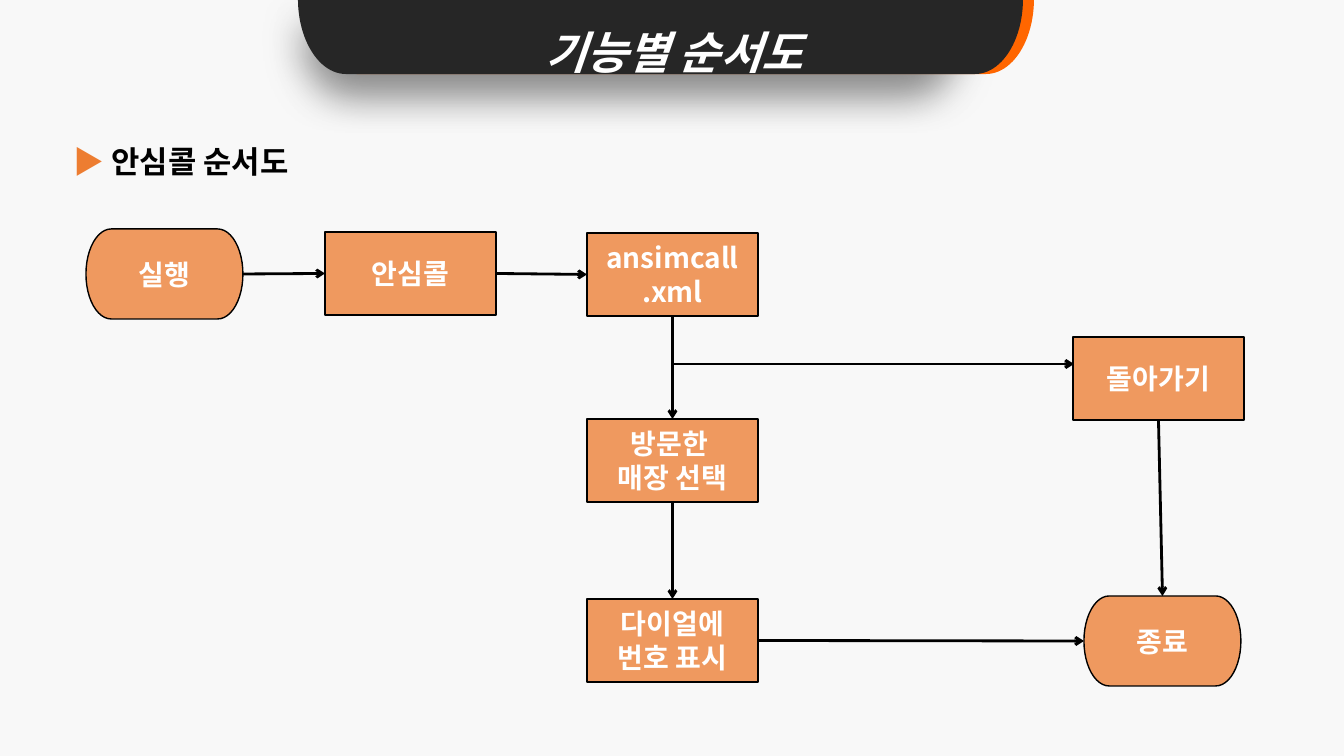
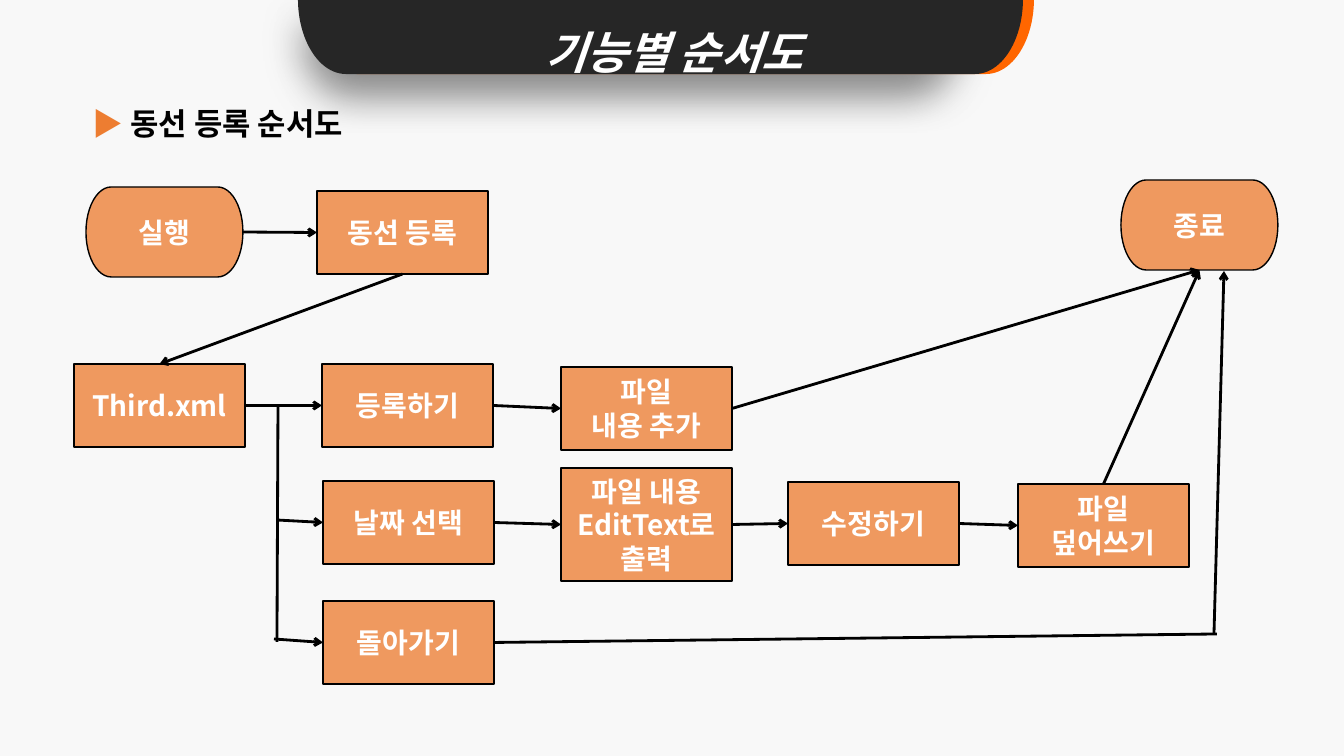
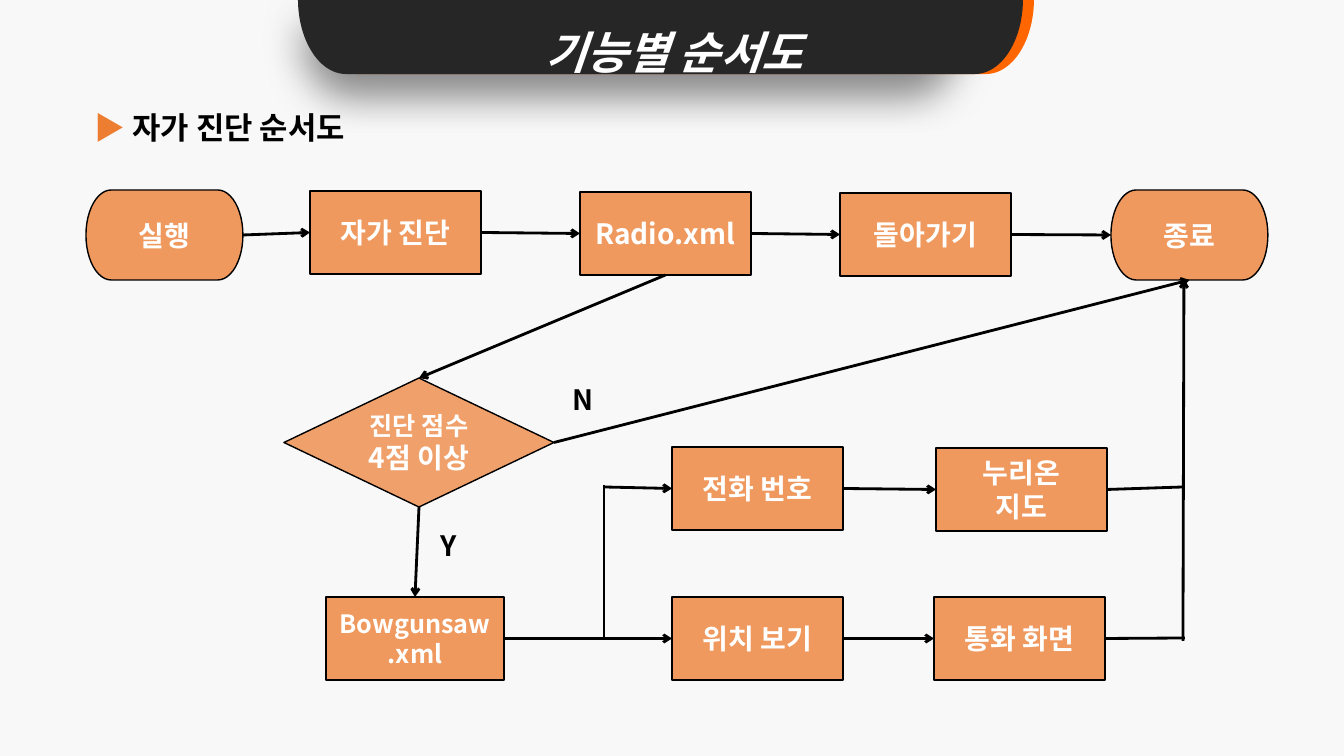
"""Build three flowchart slides that share a dark banner and orange nodes."""
from dataclasses import dataclass

from lxml.etree import SubElement
from pptx import Presentation
from pptx.dml.color import RGBColor
from pptx.enum.shapes import MSO_CONNECTOR, MSO_SHAPE
from pptx.enum.text import PP_ALIGN
from pptx.oxml.ns import qn
from pptx.util import Pt

EMU_PER_PX = 914400 / 100.8
FONT = "Noto Sans CJK KR"
PAPER = RGBColor(0xF8, 0xF8, 0xF8)
DARK = RGBColor(0x26, 0x26, 0x26)
BRIGHT = RGBColor(0xFF, 0x66, 0x00)
ORANGE = RGBColor(0xED, 0x7D, 0x31)
BLACK = RGBColor(0x00, 0x00, 0x00)
WHITE = RGBColor(0xFF, 0xFF, 0xFF)
TOP, LEFT, BOTTOM, RIGHT = range(4)
BANNER_TITLE = "기능별 순서도"


@dataclass
class Node:
    x: int
    y: int
    text: str
    kind: MSO_SHAPE = MSO_SHAPE.FLOWCHART_PROCESS
    width: int = 171
    height: int = 83
    sizes: tuple = (20, 20)
    opacity: int = 77


def terminator(x, y, text):
    return Node(x, y, text, MSO_SHAPE.FLOWCHART_TERMINATOR, 157, 90)


CHARTS = [
    {
        "heading": ("안심콜 순서도", 64, 142),
        "nodes": {
            "start": terminator(86, 229, "실행"),
            "call": Node(325, 232, "안심콜"),
            "layout": Node(587, 233, "ansimcall\n.xml"),
            "store": Node(587, 419, "방문한 \n매장 선택"),
            "dial": Node(587, 599, "다이얼에\n번호 표시"),
            "end": terminator(1084, 596, "종료"),
            "back": Node(1073, 337, "돌아가기"),
        },
        "arrows": [
            (("start", RIGHT), ("call", LEFT)),
            (("call", RIGHT), ("layout", LEFT)),
            (("layout", BOTTOM), ("store", TOP)),
            (("store", BOTTOM), ("dial", TOP)),
            (("dial", RIGHT), ("end", LEFT)),
            ((672, 364), (1074, 364)),
            (("back", BOTTOM), ("end", TOP)),
        ],
        "lines": [],
        "labels": [],
    },
    {
        "heading": ("동선 등록 순서도", 83, 104),
        "nodes": {
            "start": terminator(86, 187, "실행"),
            "route": Node(317, 191, "동선 등록"),
            "layout": Node(74, 364, "Third.xml"),
            "register": Node(322, 364, "등록하기"),
            "date": Node(323, 481, "날짜 선택"),
            "back": Node(323, 601, "돌아가기"),
            "append": Node(561, 367, "파일\n내용 추가"),
            "show": Node(561, 468, "파일 내용\nEditText로 출력", height=113),
            "edit": Node(788, 482, "수정하기"),
            "overwrite": Node(1018, 484, "파일\n덮어쓰기"),
            "end": terminator(1121, 180, "종료"),
        },
        "arrows": [
            (("start", RIGHT), ("route", LEFT)),
            (("route", BOTTOM), ("layout", TOP)),
            (("layout", RIGHT), ("register", LEFT)),
            ((277, 520), ("date", LEFT)),
            ((274, 639), ("back", LEFT)),
            (("register", RIGHT), ("append", LEFT)),
            (("date", RIGHT), ("show", LEFT)),
            (("append", RIGHT), ("end", BOTTOM)),
            (("show", RIGHT), ("edit", LEFT)),
            (("edit", RIGHT), ("overwrite", LEFT)),
            (("overwrite", TOP), ("end", BOTTOM)),
            ((1214, 635), (1224, 271)),
        ],
        "lines": [
            ((278, 405), (277, 642)),
            ((1217, 634), ("back", RIGHT)),
        ],
        "labels": [],
    },
    {
        "heading": ("자가 진단 순서도", 85, 108),
        "nodes": {
            "start": terminator(86, 190, "실행"),
            "check": Node(310, 191, "자가 진단"),
            "layout": Node(580, 192, "Radio.xml"),
            "back": Node(840, 193, "돌아가기"),
            "end": terminator(1111, 190, "종료"),
            "score": Node(284, 378, "진단 점수\n4점 이상", MSO_SHAPE.FLOWCHART_DECISION,
                          270, 129, (18, 20), 71),
            "clinic": Node(326, 597, "Bowgunsaw\n.xml", width=178, sizes=(18, 18)),
            "place": Node(672, 597, "위치 보기"),
            "phone": Node(672, 447, "전화 번호"),
            "map": Node(936, 448, "누리온\n지도"),
            "dialer": Node(934, 597, "통화 화면"),
        },
        "arrows": [
            (("start", RIGHT), ("check", LEFT)),
            (("check", RIGHT), ("layout", LEFT)),
            (("layout", RIGHT), ("back", LEFT)),
            (("back", RIGHT), ("end", LEFT)),
            (("layout", BOTTOM), ("score", TOP)),
            (("score", BOTTOM), ("clinic", TOP)),
            (("score", RIGHT), ("end", BOTTOM)),
            (("clinic", RIGHT), ("place", LEFT)),
            ((604, 487), ("phone", LEFT)),
            (("place", RIGHT), ("dialer", LEFT)),
            (("phone", RIGHT), ("map", LEFT)),
            ((1183, 641), (1184, 279)),
        ],
        "lines": [
            ((604, 485), (604, 639)),
            (("map", RIGHT), (1183, 487)),
            (("dialer", RIGHT), (1185, 638)),
        ],
        "labels": [("N", 563, 378), ("Y", 431, 524)],
    },
]


def px(*lengths):
    return [round(length * EMU_PER_PX) for length in lengths]


def write(paragraph, text, size=20, color=BLACK, italic=False, align=PP_ALIGN.LEFT, spacing=1.0):
    paragraph.alignment = align
    paragraph.line_spacing = spacing
    run = paragraph.add_run()
    run.text = text
    font = run.font
    font.name, font.size, font.bold, font.italic = FONT, Pt(size), True, italic
    font.color.rgb = color
    SubElement(run._r.get_or_add_rPr(), qn("a:ea"), typeface=FONT)


def add_box(slide, x, y, width, height, wrap=True):
    frame = slide.shapes.add_textbox(*px(x, y, width, height)).text_frame
    frame.word_wrap = wrap
    return frame.paragraphs[0]


def add_filled(slide, kind, x, y, width, height, color):
    shape = slide.shapes.add_shape(kind, *px(x, y, width, height))
    shape.shadow.inherit = False
    shape.fill.solid()
    shape.fill.fore_color.rgb = color
    return shape


def set_opacity(color_element, percent):
    SubElement(color_element, qn("a:alpha"), val=str(percent * 1000))


def add_banner(slide):
    for x, color in ((634, BRIGHT), (623, DARK)):
        band = add_filled(slide, MSO_SHAPE.LEFT_BRACKET, x, -326, 75, 725, color)
        band.rotation = 270
        band.adjustments[0] = 0.64
        band.line.fill.background()
        effects = band.element.spPr.find(qn("a:effectLst"))
        shadow = SubElement(effects, qn("a:outerShdw"), blurRad=str(Pt(29)), dist=str(Pt(15)),
                            dir="5400000", sx="90000", sy="90000", algn="tl", rotWithShape="0")
        set_opacity(SubElement(shadow, qn("a:srgbClr"), val=str(BLACK)), 25)
    write(add_box(slide, 520, -7, 308, 92, wrap=False), BANNER_TITLE, size=32, color=WHITE,
          italic=True, align=PP_ALIGN.CENTER, spacing=1.5)


def add_heading(slide, text, x, y):
    paragraph = add_box(slide, x, y, 700, 80)
    write(paragraph, "▶", size=22, color=ORANGE, spacing=0.9)
    write(paragraph, " " + text, size=22, spacing=0.9)


def add_node(slide, node):
    shape = add_filled(slide, node.kind, node.x, node.y, node.width, node.height, ORANGE)
    set_opacity(shape.element.spPr.find(qn("a:solidFill"))[0], node.opacity)
    shape.line.color.rgb = BLACK
    shape.line.width = Pt(1)
    frame = shape.text_frame
    for index, (text, size) in enumerate(zip(node.text.split("\n"), node.sizes)):
        paragraph = frame.add_paragraph() if index else frame.paragraphs[0]
        write(paragraph, text, size=size, color=WHITE, align=PP_ALIGN.CENTER)
    return shape


def add_link(slide, shapes, start, end, arrow):
    points = [(0, 0) if point[0] in shapes else point for point in (start, end)]
    link = slide.shapes.add_connector(MSO_CONNECTOR.STRAIGHT, *px(*points[0], *points[1]))
    for point, connect in ((start, link.begin_connect), (end, link.end_connect)):
        if point[0] in shapes:
            connect(shapes[point[0]], point[1])
    link.line.color.rgb = BLACK
    link.line.width = Pt(2)
    if arrow:
        SubElement(link.line._get_or_add_ln(), qn("a:tailEnd"), type="arrow")
    SubElement(link.element.spPr, qn("a:effectLst"))


def add_chart_slide(presentation, chart):
    slide = presentation.slides.add_slide(presentation.slide_layouts[6])
    add_banner(slide)
    add_heading(slide, *chart["heading"])
    shapes = {name: add_node(slide, node) for name, node in chart["nodes"].items()}
    for kind in ("arrows", "lines"):
        for start, end in chart[kind]:
            add_link(slide, shapes, start, end, arrow=kind == "arrows")
    for text, x, y in chart["labels"]:
        write(add_box(slide, x, y, 50, 42), text)


def main():
    presentation = Presentation()
    presentation.slide_width, presentation.slide_height = px(1344, 756)
    background = presentation.slide_master.background.fill
    background.solid()
    background.fore_color.rgb = PAPER
    for chart in CHARTS:
        add_chart_slide(presentation, chart)
    presentation.save("out.pptx")


if __name__ == "__main__":
    main()
